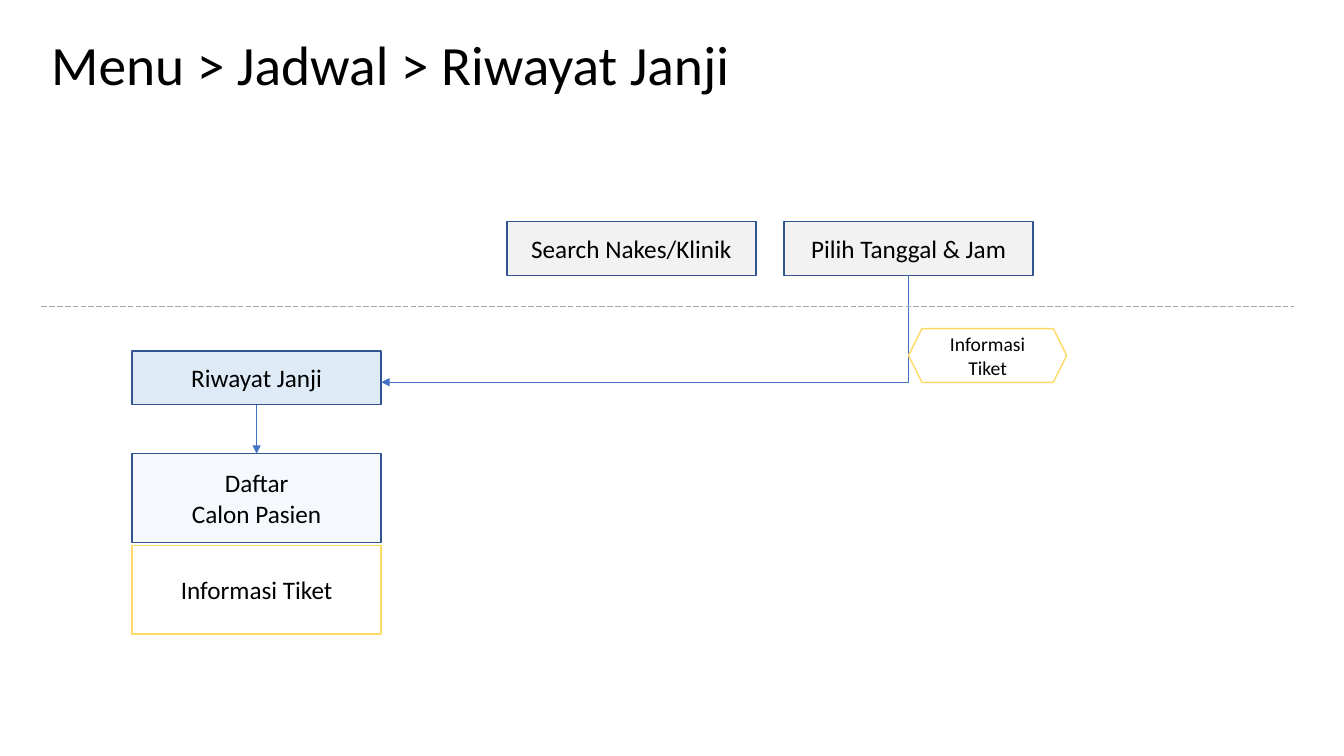
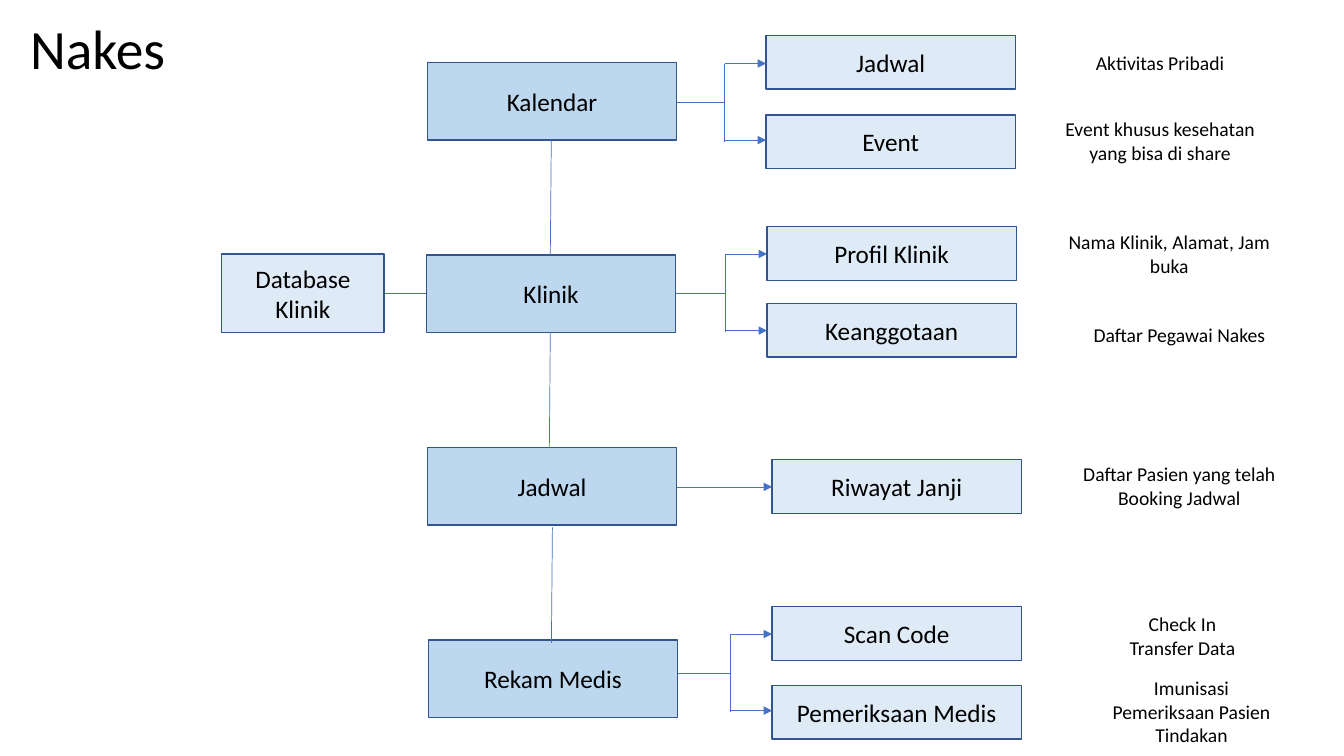
from dataclasses import dataclass

from pptx import Presentation
from pptx.dml.color import RGBColor
from pptx.enum.dml import MSO_LINE
from pptx.enum.shapes import MSO_CONNECTOR, MSO_SHAPE
from pptx.enum.text import MSO_ANCHOR, PP_ALIGN
from pptx.oxml.ns import qn
from pptx.util import Pt

RECT, HEXAGON = MSO_SHAPE.RECTANGLE, MSO_SHAPE.HEXAGON
STRAIGHT, LONG_DASH = MSO_CONNECTOR.STRAIGHT, MSO_LINE.LONG_DASH
LEFT, CENTER, MIDDLE = PP_ALIGN.LEFT, PP_ALIGN.CENTER, MSO_ANCHOR.MIDDLE


@dataclass(frozen=True)
class Theme:
    font: str = "Calibri"
    text: str = "000000"
    menu: str = "BDD7EE"
    submenu: str = "DEEBF7"
    detail: str = "F5F9FD"
    other_menu: str = "F2F2F2"
    white: str = "FFFFFF"
    border: str = "325491"
    ticket: str = "FFD966"
    arrow: str = "4472C4"
    divider: str = "A6A6A6"
    title_size: float = 39.6
    box_size: int = 18
    note_size: int = 14


theme = Theme()


def add_text(slide, text, left, top, width, height, *, shape=None, fill=None,
             border=theme.border, size=theme.box_size, align=CENTER, spacing=1.0):
    """Add a bordered shape with text, or plain text when shape is None."""
    frame = [Pt(value) for value in (left, top, width, height)]
    if shape is None:
        box = slide.shapes.add_textbox(*frame)
    else:
        box = slide.shapes.add_shape(shape, *frame)
        box.shadow.inherit = False
        box.line.color.rgb = RGBColor.from_string(border)
        box.line.width = Pt(1)
        if fill:
            box.fill.solid()
            box.fill.fore_color.rgb = RGBColor.from_string(fill)
        else:
            box.fill.background()
    body = box.text_frame
    body.word_wrap = True
    body.vertical_anchor = MIDDLE
    body.text = text
    for paragraph in body.paragraphs:
        paragraph.alignment = align
        paragraph.line_spacing = spacing
        paragraph.font.name = theme.font
        paragraph.font.size = Pt(size)
        paragraph.font.color.rgb = RGBColor.from_string(theme.text)


def add_line(slide, x1, y1, x2, y2, *, color=theme.arrow, dash=None, arrow=False):
    """Add a thin straight line, with an arrowhead at its end if asked."""
    line = slide.shapes.add_connector(STRAIGHT, Pt(x1), Pt(y1), Pt(x2), Pt(y2))
    line.line.color.rgb = RGBColor.from_string(color)
    line.line.width = Pt(0.5)
    if dash:
        line.line.dash_style = dash
    properties = line._element.spPr
    if arrow:
        outline = properties.find(qn("a:ln"))
        head = outline.makeelement(qn("a:tailEnd"), {"type": "triangle"})
        outline.append(head)
    properties.append(properties.makeelement(qn("a:effectLst"), {}))


prs = Presentation()
prs.slide_width, prs.slide_height = Pt(960), Pt(540)
blank = prs.slide_layouts[6]

# Sizes and title shared by both slides
BOX_W, BOX_H = 178, 38.4
MENU_H = 55.4
DETAIL_H = 63.4

titles = [("Menu > Jadwal > Riwayat Janji", 29.5, 21.6), ("Nakes", 14.4, 10.8)]
slides = []
for title, left, top in titles:
    slide = prs.slides.add_slide(blank)
    add_text(slide, title, left, top, 828, 52.6, size=theme.title_size,
             align=LEFT, spacing=0.9)
    slides.append(slide)
history, overview = slides

# Appointment history: boxes
HISTORY_X, HISTORY_Y, DETAIL_Y = 94.3, 250.6, 324
PICK_X, PICK_Y = 560, 158.4
history_boxes = [
    ("Riwayat Janji", HISTORY_X, HISTORY_Y, BOX_H, theme.submenu, theme.border),
    ("Search Nakes/Klinik", 362, PICK_Y, BOX_H, theme.other_menu, theme.border),
    ("Pilih Tanggal & Jam", PICK_X, PICK_Y, BOX_H, theme.other_menu, theme.border),
    ("Daftar\nCalon Pasien", HISTORY_X, DETAIL_Y, DETAIL_H, theme.detail, theme.border),
    ("Informasi Tiket", HISTORY_X, 389.6, DETAIL_H, theme.white, theme.ticket),
]
for text, left, top, height, fill, border in history_boxes:
    add_text(history, text, left, top, BOX_W, height, shape=RECT, fill=fill,
             border=border)

# Appointment history: flow from date choice to patient list
pick_center, history_center = PICK_X + BOX_W / 2, HISTORY_X + BOX_W / 2
RETURN_Y = 273
add_line(history, pick_center, RETURN_Y, HISTORY_X + BOX_W, RETURN_Y, arrow=True)
add_line(history, pick_center, RETURN_Y, pick_center, PICK_Y + BOX_H)
add_line(history, 29.5, 219, 924.5, 219, color=theme.divider, dash=LONG_DASH)
add_line(history, history_center, HISTORY_Y + BOX_H, history_center, DETAIL_Y, arrow=True)
add_text(history, "Informasi Tiket", pick_center, 234.7, 113, BOX_H, shape=HEXAGON,
         border=theme.ticket, size=theme.note_size)

# Overview: each menu has its left edge, the left edge of its submenus, the
# height of its first arrow, and submenus as (name, top, note, note left, note top)
MENU_TOP, MENU_STEP = 44.6, 137.5
FORK_REACH, FORK_GAP = 29.5, 54.7
NOTE_W = 171.4
menus = [
    ("Kalendar", 305.3, 547.2, 45.4, [
        ("Jadwal", 25.2, "Aktivitas Pribadi", 743, 25.2),
        ("Event", 82, "Event khusus kesehatan yang bisa di share", 743, 81.4)]),
    ("Klinik", 304.6, 547.9, 181.4, [
        ("Profil Klinik", 162, "Nama Klinik, Alamat, Jam buka", 749.5, 162),
        ("Keanggotaan", 216.7, "Daftar Pegawai Nakes", 756.7, 219.6)]),
    ("Jadwal", 305.3, 551.5, 347.8, [
        ("Riwayat Janji", 328.3, "Daftar Pasien yang telah Booking Jadwal", 756.7, 327.6)]),
    ("Rekam Medis", 306, 551.5, 452.9, [
        ("Scan Code", 433.4, "Check In\nTransfer Data", 758.9, 434.9),
        ("Pemeriksaan Medis", 489.6, "Imunisasi\nPemeriksaan Pasien\nTindakan", 765.4, 488.9)]),
]
for row, (menu, menu_x, submenu_x, arrow_y, submenus) in enumerate(menus):
    add_text(overview, menu, menu_x, MENU_TOP + row * MENU_STEP, BOX_W, MENU_H,
             shape=RECT, fill=theme.menu)
    for submenu, top, note, note_x, note_y in submenus:
        add_text(overview, submenu, submenu_x, top, BOX_W, BOX_H, shape=RECT,
                 fill=theme.submenu)
        add_text(overview, note, note_x, note_y, NOTE_W, BOX_H, size=theme.note_size)

    menu_right = menu_x + BOX_W
    if len(submenus) == 1:
        add_line(overview, menu_right, arrow_y, submenu_x, arrow_y, arrow=True)
        continue
    fork_x = submenu_x - FORK_REACH
    stem_y = arrow_y + 28
    add_line(overview, menu_right, stem_y, fork_x, stem_y)
    add_line(overview, fork_x, arrow_y, fork_x, arrow_y + FORK_GAP + 1)
    for y in (arrow_y, arrow_y + FORK_GAP):
        add_line(overview, fork_x, y, submenu_x, y, arrow=True)

# Overview: links between menus
for x, top in [(393.8, 99.7), (393.1, 237.4), (394.6, 376.7)]:
    add_line(overview, x, top, x - 0.7, top + 82.5)

# Overview: clinic database
add_text(overview, "Database Klinik", 158.4, 181.4, 116, 56, shape=RECT,
         fill=theme.submenu)
add_line(overview, 275, 209.4, 304.6, 209.4)

prs.save("out.pptx")
